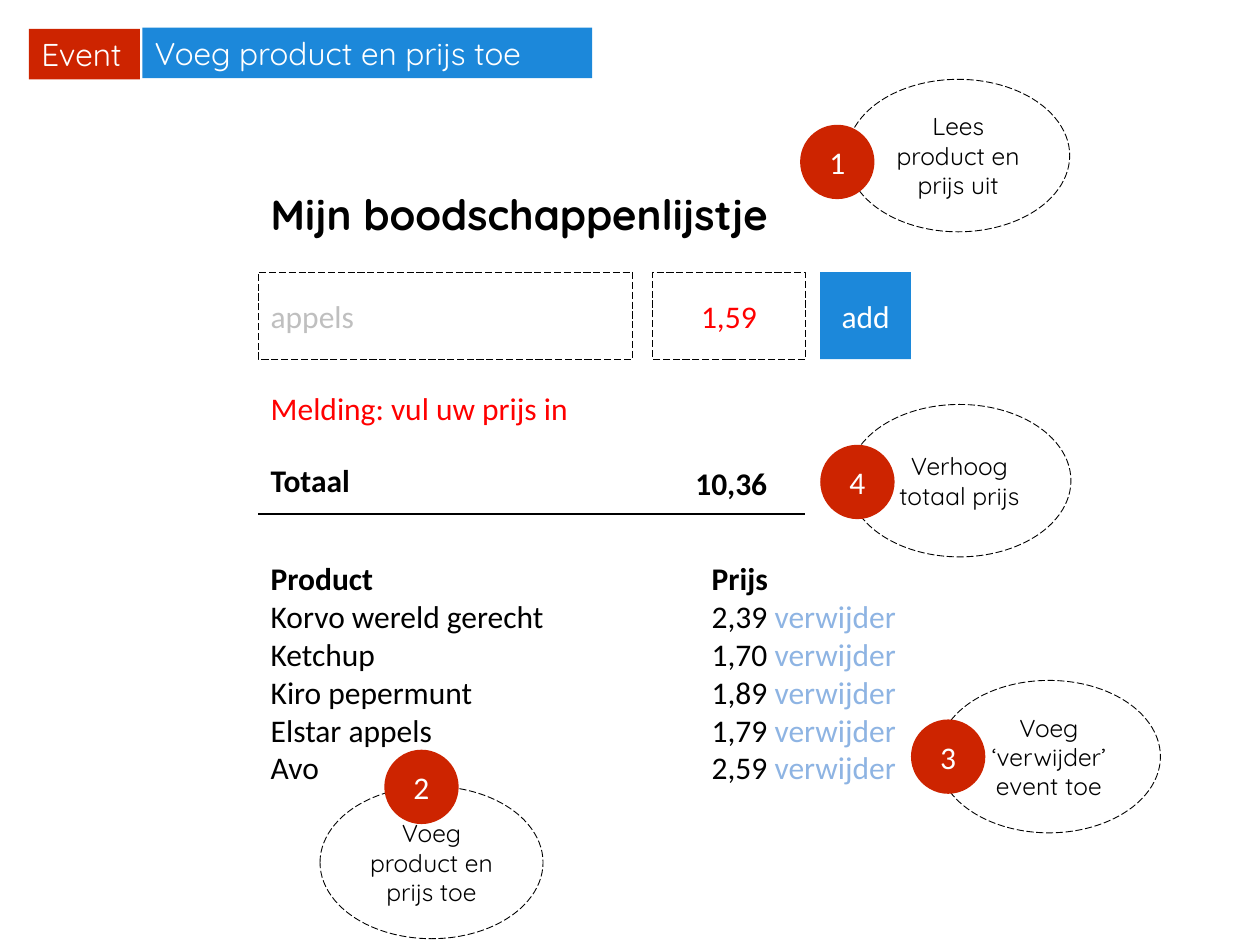
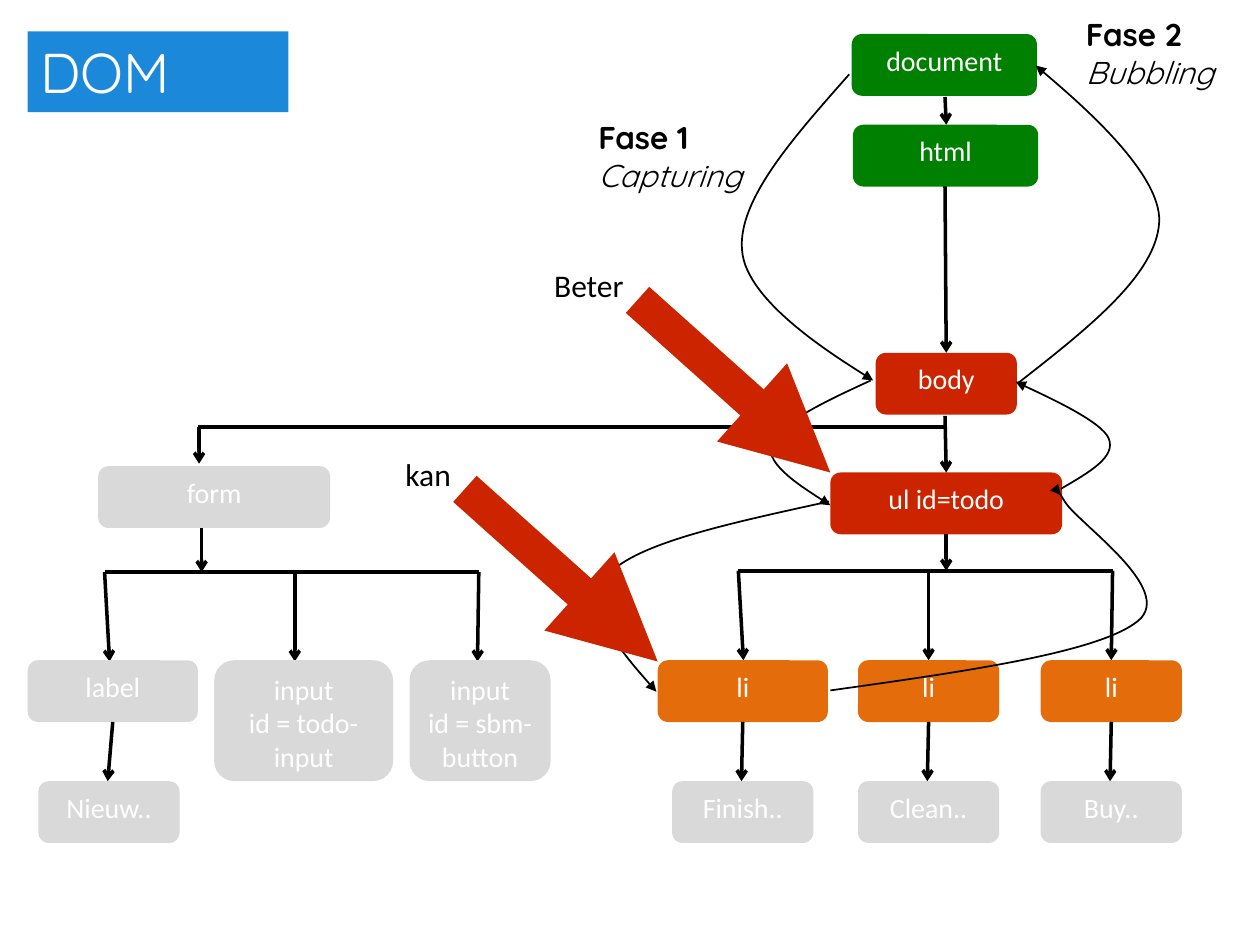
"""Builds two lesson slides: a shopping list with event steps, and a DOM tree."""
from collections import namedtuple

import pptx
import pptx.dml.color
import pptx.enum.dml
import pptx.enum.shapes
import pptx.enum.text
import pptx.oxml
import pptx.oxml.ns
import pptx.util
from lxml import etree

RGBColor = pptx.dml.color.RGBColor
BLACK = RGBColor(0x00, 0x00, 0x00)
WHITE = RGBColor(0xFF, 0xFF, 0xFF)
BLUE = RGBColor(0x1C, 0x88, 0xDA)
RED = RGBColor(0xCD, 0x24, 0x00)
ALERT = RGBColor(0xFF, 0x00, 0x00)
GREEN = RGBColor(0x00, 0x80, 0x00)
ORANGE = RGBColor(0xE4, 0x6C, 0x0A)
PALE = RGBColor(0xD9, 0xD9, 0xD9)
HINT = RGBColor(0xBF, 0xBF, 0xBF)
LINK = RGBColor(0x8E, 0xB4, 0xE3)

BODY, DISPLAY = "Calibri", "Quicksand"
SHAPE = pptx.enum.shapes.MSO_SHAPE
LEFT = pptx.enum.text.PP_ALIGN.LEFT
CENTER = pptx.enum.text.PP_ALIGN.CENTER
TOP = pptx.enum.text.MSO_ANCHOR.TOP
MIDDLE = pptx.enum.text.MSO_ANCHOR.MIDDLE
NODE_HEIGHT = 0.49

Box = namedtuple("Box", "left top width height")


def grid(units):
    """Turn grid units of 2.54 cm into a length."""
    return pptx.util.Cm(2.54 * units)


def inside(box, left, top, width, height):
    """Return a box placed relative to the corner of another."""
    return Box(box.left + left, box.top + top, width, height)


def write(shape, text, size=18, color=BLACK, font=BODY, align=LEFT,
          anchor=TOP, wrap=True, grow=False, bold=False):
    """Set and format the text of a shape."""
    frame = shape.text_frame
    frame.text = text
    frame.word_wrap = wrap
    frame.vertical_anchor = anchor
    if grow:
        frame.auto_size = pptx.enum.text.MSO_AUTO_SIZE.SHAPE_TO_FIT_TEXT
    for para in frame.paragraphs:
        para.alignment = align
        for span in para.runs:
            style(span, size, color, font, bold)
    return frame


def style(span, size, color, font=BODY, bold=False, italic=False):
    """Format one run."""
    span.font.size = pptx.util.Pt(size)
    span.font.color.rgb = color
    span.font.name = font
    span.font.bold = bold
    span.font.italic = italic


def add_panel(page, box, kind=SHAPE.RECTANGLE, fill=None):
    """Add a filled shape, or a dashed outline when no fill is given."""
    shape = page.shapes.add_shape(kind, *map(grid, box))
    shape.shadow.inherit = False
    if fill is None:
        shape.fill.background()
        shape.line.color.rgb = BLACK
        shape.line.width = pptx.util.Pt(0.5)
        shape.line.dash_style = pptx.enum.dml.MSO_LINE.LONG_DASH
    else:
        shape.fill.solid()
        shape.fill.fore_color.rgb = fill
        shape.line.fill.background()
    return shape


def add_label(page, box, text, **format_options):
    """Add a text box that grows with its text."""
    label = page.shapes.add_textbox(*map(grid, box))
    return write(label, text, grow=True, **format_options)


def add_banner(page, box, text, fill=BLUE, size=18, wrap=True):
    """Add a coloured title band."""
    write(add_panel(page, box, fill=fill), text, size, WHITE, DISPLAY,
          wrap=wrap, grow=True)


def finish_line(shape, color, width, arrow):
    """Colour a line and give its end an arrowhead."""
    shape.line.color.rgb = color
    shape.line.width = pptx.util.Pt(width)
    if arrow:
        outline = shape.element.find(".//" + pptx.oxml.ns.qn("a:ln"))
        etree.SubElement(outline, pptx.oxml.ns.qn("a:tailEnd"), type=arrow)


def add_line(page, start, end, color=BLACK, width=2, arrow="arrow"):
    """Add a straight connector without shadow."""
    line = page.shapes.add_connector(
        pptx.enum.shapes.MSO_CONNECTOR.STRAIGHT, *map(grid, start + end))
    finish_line(line, color, width, arrow)
    properties = line.element.find(pptx.oxml.ns.qn("p:spPr"))
    etree.SubElement(properties, pptx.oxml.ns.qn("a:effectLst"))


def bezier(points, t):
    """Return the point at t on a cubic curve."""
    weights = ((1 - t) ** 3, 3 * t * (1 - t) ** 2, 3 * t * t * (1 - t), t ** 3)
    return tuple(sum(w * p[axis] for w, p in zip(weights, points))
                 for axis in (0, 1))


def add_curve(page, points):
    """Add an arrow of joined cubic curves; its box comes from sampled points."""
    qn = pptx.oxml.ns.qn
    samples = [bezier(points[i:i + 4], step / 20)
               for i in range(0, len(points) - 1, 3) for step in range(1, 21)]
    builder = page.shapes.build_freeform(*map(grid, points[0]))
    builder.add_line_segments([tuple(map(grid, p)) for p in samples], close=False)
    curve = builder.convert_to_shape()
    curve.shadow.inherit = False
    curve.fill.background()
    outline = curve.element.find(".//" + qn("a:path"))
    for segment in outline.findall(qn("a:lnTo")):
        outline.remove(segment)
    for i in range(1, len(points), 3):
        segment = etree.SubElement(outline, qn("a:cubicBezTo"))
        for x, y in points[i:i + 3]:
            etree.SubElement(segment, qn("a:pt"), x=str(grid(x) - curve.left),
                             y=str(grid(y) - curve.top))
    finish_line(curve, BLACK, 1, "triangle")


def add_callout(page, box, number, text, badge_left, badge_top):
    """Add a dashed ellipse with a numbered badge."""
    write(add_panel(page, box, SHAPE.OVAL), text, 14, font=DISPLAY,
          align=CENTER, anchor=MIDDLE)
    badge = add_panel(page, inside(box, badge_left, badge_top, 0.59, 0.59),
                      SHAPE.OVAL, RED)
    write(badge, str(number), color=WHITE, align=CENTER, anchor=MIDDLE)


def add_entry_form(page, box):
    """Add the heading, input fields, message and total of the list."""
    add_label(page, inside(box, 0, 0, 4.29, 0.5), "Mijn boodschappenlijstje",
              size=24, font=DISPLAY, bold=True, wrap=False)
    for left, width, fill, text, color, align in (
            (0, 2.97, None, "appels", HINT, LEFT),
            (3.13, 1.21, None, "1,59", ALERT, CENTER),
            (4.46, 0.72, BLUE, "add", WHITE, CENTER)):
        field = add_panel(page, inside(box, left, 0.71, width, 0.69), fill=fill)
        write(field, text, color=color, align=align, anchor=MIDDLE)
    add_label(page, inside(box, 0, 1.59, box.width, 0.4),
              "Melding: vul uw prijs in", color=ALERT)
    add_label(page, inside(box, 0, 2.16, 0.86, 0.4), "Totaal", bold=True,
              wrap=False)
    add_label(page, inside(box, 3.37, 2.18, 0.78, 0.4), "10,36", bold=True,
              wrap=False)
    rule = box.top + 2.63
    add_line(page, (box.left, rule), (box.left + 4.34, rule), width=1, arrow=None)


def add_product_list(page, box, products):
    """Add the products with prices and remove links on tab stops."""
    rows = ["Product\tPrijs"] + [f"{name}\t{price}\t" for name, price in products]
    frame = add_label(page, box, "\n".join(rows))
    for index, para in enumerate(frame.paragraphs):
        qn = pptx.oxml.ns.qn
        properties = para.runs[0].font.bold = index == 0
        properties = para._p.get_or_add_pPr()
        stops = etree.SubElement(properties, qn("a:tabLst"))
        for position in (3.5, 4):
            etree.SubElement(stops, qn("a:tab"), pos=str(grid(position)), algn="l")
        if index:
            link = para.add_run()
            link.text = "verwijder"
            style(link, 18, LINK)


def build_event_slide(page):
    """Lay out the shopping list and its four event steps."""
    add_entry_form(page, Box(2.05, 1.45, 5.18, 2.63))
    add_product_list(page, Box(2.05, 4.39, 5.18, 1.92), (
        ("Korvo wereld gerecht", "2,39"), ("Ketchup", "1,70"),
        ("Kiro pepermunt", "1,89"), ("Elstar appels", "1,79"), ("Avo", "2,59")))
    add_banner(page, Box(0.23, 0.23, 0.88, 0.4), "Event", RED, wrap=False)
    add_banner(page, Box(1.13, 0.22, 3.57, 0.4), "Voeg product en prijs toe")
    steps = ((6.72, 0.63, "Lees product en prijs uit", -0.37, 0.36),
             (2.54, 6.24, "Voeg product en prijs toe", 0.51, -0.29),
             (7.44, 5.4, "Voeg ‘verwijder’ event toe", -0.21, 0.31),
             (6.73, 3.21, "Verhoog totaal prijs", -0.22, 0.32))
    for number, (left, top, text, *badge) in enumerate(steps, 1):
        add_callout(page, Box(left, top, 1.77, 1.21), number, text, *badge)


def add_node(page, box, text, fill):
    """Add one rounded node of the tree."""
    write(add_panel(page, box, SHAPE.ROUNDED_RECTANGLE, fill), text, 16, WHITE,
          align=CENTER)


def add_parent(page, box, text, fill, child_text, shift=0):
    """Add a node with an arrow to a text node below it."""
    middle = box.left + box.width / 2
    add_node(page, box, text, fill)
    add_node(page, Box(middle - 0.56 + shift, box.top + 0.96, 1.12, NODE_HEIGHT),
             child_text, PALE)
    add_line(page, (middle, box.top + NODE_HEIGHT),
             (middle - 0.01 + shift, box.top + 0.96))


def add_branches(page, box, stem, stem_height):
    """Add a stem, a crossbar and three arrows to the children."""
    add_line(page, (box.left + stem, box.top - stem_height),
             (box.left + stem, box.top))
    add_line(page, (box.left, box.top), (box.left + box.width, box.top), arrow=None)
    for start, end in ((0, 0.04), (1.51, 1.51), (box.width, box.width - 0.01)):
        add_line(page, (box.left + start, box.top),
                 (box.left + end, box.top + box.height))


def add_phase(page, box, title, name):
    """Add a bold phase title above its italic name."""
    frame = add_label(page, box, f"{title}\n{name}", font=DISPLAY, wrap=False)
    frame.paragraphs[0].runs[0].font.bold = True
    frame.paragraphs[1].runs[0].font.italic = True


def add_pointer(page, box, text, text_width):
    """Add a thick red arrow across the box with a word at its start."""
    add_line(page, (box.left, box.top),
             (box.left + box.width, box.top + box.height), RED, 20, "triangle")
    add_label(page, inside(box, -text_width, -0.32, text_width, 0.4), text,
              wrap=False)


def build_tree_slide(page):
    """Lay out the DOM tree with its capturing and bubbling paths."""
    for left, top, width, text, fill in (
            (6.76, 0.27, 1.47, "document", GREEN), (6.77, 0.99, 1.47, "html", GREEN),
            (6.95, 2.8, 1.12, "body", RED), (6.59, 3.75, 1.84, "ul id=todo", RED),
            (0.78, 3.7, 1.84, "form", PALE)):
        add_node(page, Box(left, top, width, NODE_HEIGHT), text, fill)
    for start, end in ((0.77, 0.99), (1.48, 2.8), (3.3, 3.75)):
        add_line(page, (7.5, start), (7.51, end))
    add_line(page, (1.57, 3.39), (7.5, 3.39), arrow=None)
    add_line(page, (1.58, 3.39), (1.58, 3.68))
    add_branches(page, Box(0.83, 4.54, 2.97, 0.71), 0.77, 0.35)
    add_branches(page, Box(5.86, 4.53, 2.97, 0.71), 1.65, 0.29)
    for left, width, text, fill, child, shift in (
            (0.22, 1.35, "label", PALE, "Nieuw..", -0.03),
            (5.22, 1.35, "li", ORANGE, "Finish..", 0),
            (6.81, 1.12, "li", ORANGE, "Clean..", 0),
            (8.26, 1.12, "li", ORANGE, "Buy..", 0)):
        add_parent(page, Box(left, 5.24, width, NODE_HEIGHT), text, fill, child, shift)
    add_node(page, Box(1.7, 5.24, 1.42, 0.96), "input\nid = todo-input", PALE)
    add_node(page, Box(3.25, 5.24, 1.12, 0.96), "input\nid = sbm-button", PALE)
    add_banner(page, Box(0.22, 0.25, 2.07, 0.64), "DOM", size=32)
    for points in (
            ((6.74, 0.59), (6.3, 1.09), (5.85, 1.59), (5.89, 1.99),
             (5.92, 2.4), (6.93, 3.02), (6.93, 3.02)),
            ((6.91, 3.02), (6.54, 3.19), (6.18, 3.36), (6.12, 3.53),
             (6.07, 3.69), (6.59, 4.01), (6.59, 4.01)),
            ((6.58, 3.98), (5.81, 4.15), (5.04, 4.31), (4.82, 4.57),
             (4.59, 4.82), (5.21, 5.49), (5.21, 5.49)),
            ((6.59, 5.48), (7.66, 5.33), (8.72, 5.18), (9.03, 4.93), (9.34, 4.68),
             (8.55, 4.15), (8.45, 3.98), (8.35, 3.82), (8.42, 3.93), (8.42, 3.93)),
            ((8.42, 3.88), (8.64, 3.75), (8.86, 3.63), (8.8, 3.48),
             (8.74, 3.34), (8.06, 3.03), (8.06, 3.03)),
            ((8.08, 3.04), (8.63, 2.61), (9.18, 2.18), (9.2, 1.76),
             (9.22, 1.35), (8.22, 0.52), (8.22, 0.52))):
        add_curve(page, points)
    add_phase(page, Box(4.65, 0.89, 1.48, 0.71), "Fase 1", "Capturing")
    add_phase(page, Box(8.52, 0.07, 1.31, 0.71), "Fase 2", "Bubbling")
    add_pointer(page, Box(3.69, 3.88, 1.53, 1.37), "kan", 0.57)
    add_pointer(page, Box(5.06, 2.38, 1.53, 1.37), "Beter", 0.76)


deck = pptx.Presentation()
deck.slide_width, deck.slide_height = grid(10), grid(7.5)
for build in (build_event_slide, build_tree_slide):
    build(deck.slides.add_slide(deck.slide_layouts[6]))
deck.save("out.pptx")
